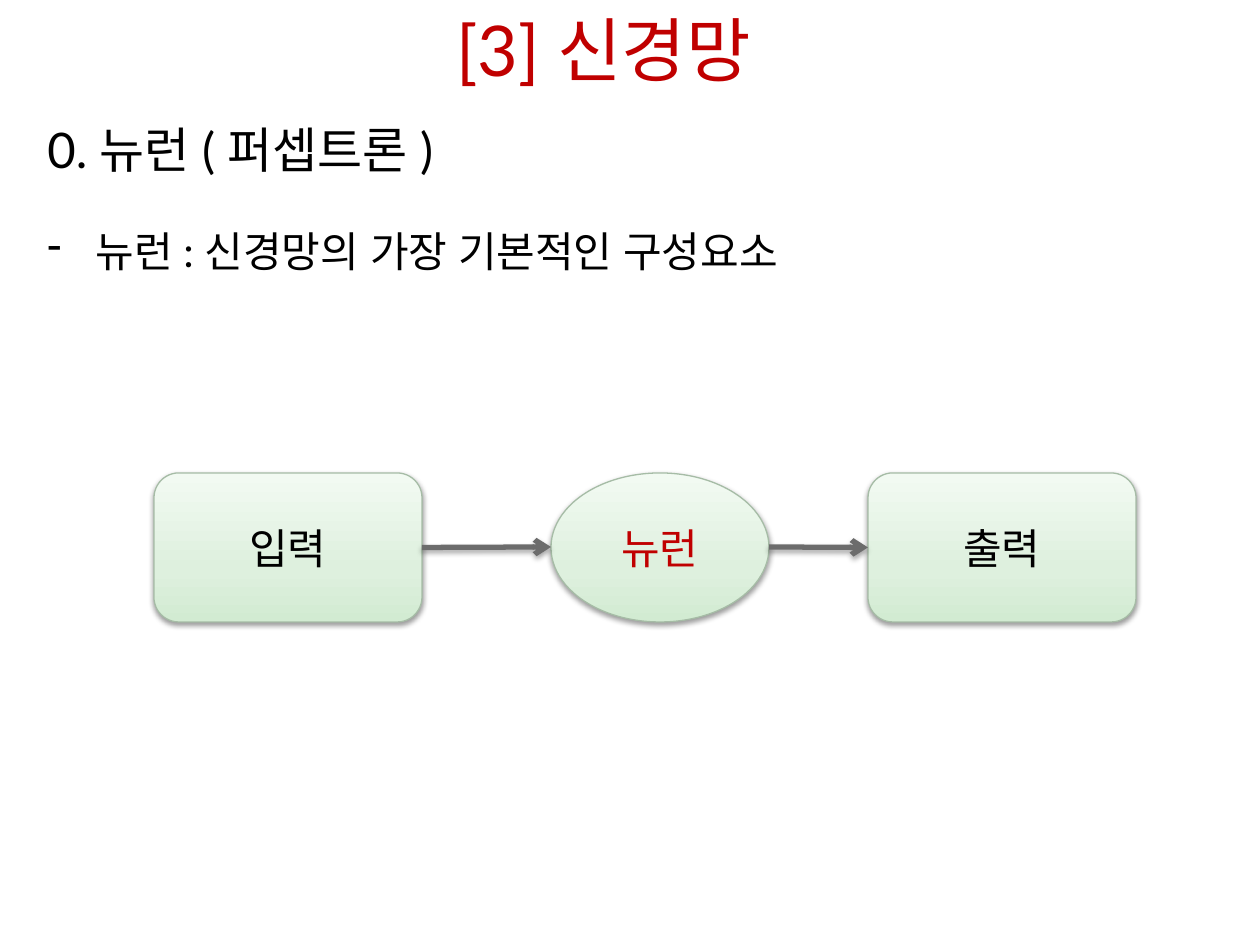
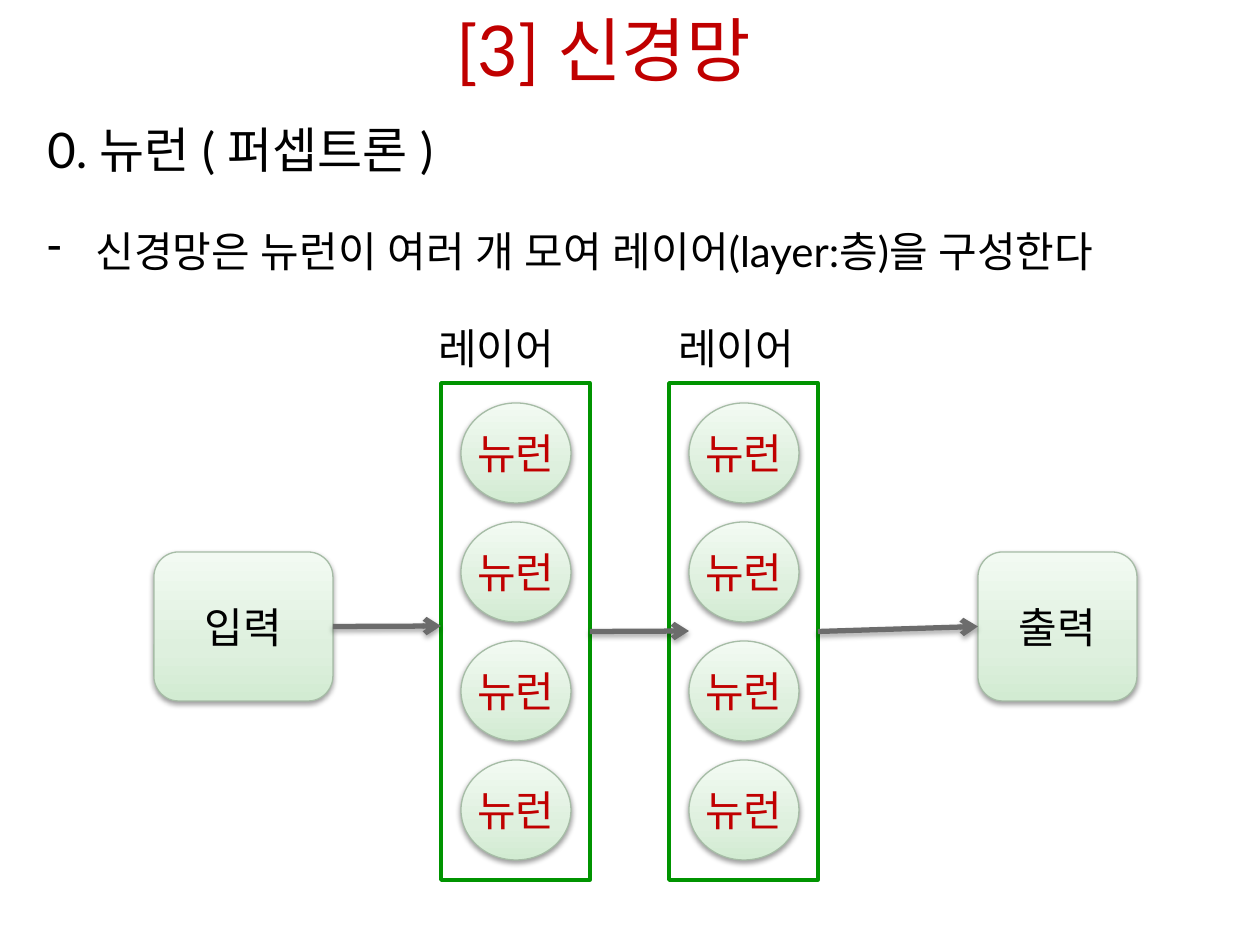
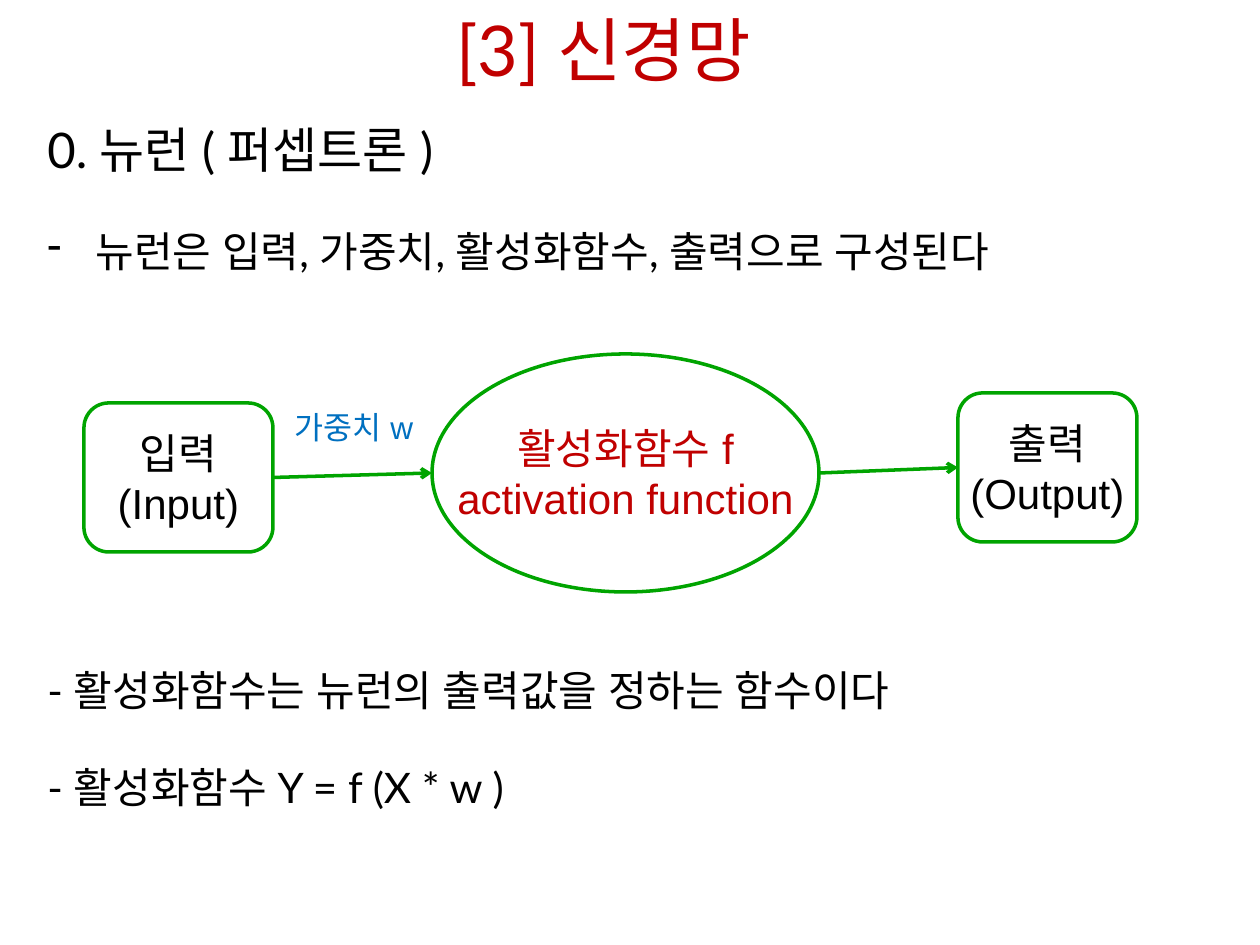
import dataclasses
import typing

import lxml.etree
import pptx
import pptx.dml.color
import pptx.enum.shapes
import pptx.enum.text
import pptx.oxml.ns
import pptx.util

EMU_PER_PX = 914400 / 126
SLIDE_WIDTH, SLIDE_HEIGHT = 1260, 945
BODY_INDENT = 48
BODY_SPACING = 0.8
BODY_GAP = 32.64
DIAGRAM_GAP = 227.52
HEADING_FONT, DIAGRAM_FONT = "Lato", "Arial"
BLACK, WHITE, RED, BLUE = "000000", "FFFFFF", "C00000", "0070C0"
LAYER_GREEN, NODE_GREEN = "009400", "00A400"
SOFT_LINE, ARROW_GREY = "A6BCA6", "6C6C6C"
SOFT_STOPS = ((0, "D2EBD2"), (35, "DEF0DE"), (100, "F2FAF2"))
ROUNDED = pptx.enum.shapes.MSO_SHAPE.ROUNDED_RECTANGLE
RECTANGLE = pptx.enum.shapes.MSO_SHAPE.RECTANGLE
OVAL = pptx.enum.shapes.MSO_SHAPE.OVAL
CENTER = pptx.enum.text.PP_ALIGN.CENTER
MIDDLE = pptx.enum.text.MSO_ANCHOR.MIDDLE
LEFT_SIDE, RIGHT_SIDE = 1, 3


class Point(typing.NamedTuple):
    x: int
    y: int


@dataclasses.dataclass(frozen=True)
class Node:
    left: int
    top: int
    width: int
    height: int
    kind: typing.Any = ROUNDED
    lines: tuple[str, ...] = ()
    colour: str = BLACK
    outline: str = ""


@dataclasses.dataclass(frozen=True)
class BodyLine:
    text: str
    size: int = 24
    space_before: float = BODY_GAP
    indented: bool = False
    bullet: bool = False


@dataclasses.dataclass(frozen=True)
class ArrowStyle:
    colour: str
    width: int
    shadowed: bool


GREY_ARROW = ArrowStyle(ARROW_GREY, 3, True)
GREEN_ARROW = ArrowStyle(NODE_GREEN, 2, False)


def px(value: int) -> int:
    return round(value * EMU_PER_PX)


def rgb(colour: str) -> pptx.dml.color.RGBColor:
    return pptx.dml.color.RGBColor.from_string(colour)


def add_xml(parent, tag: str, **attributes):
    return lxml.etree.SubElement(parent, pptx.oxml.ns.qn(tag), attributes)


def add_run(paragraph, text: str, size: int, font: str, colour: str) -> None:
    run = paragraph.add_run()
    run.text = text
    run.font.size = pptx.util.Pt(size)
    run.font.name = font
    run.font.color.rgb = rgb(colour)
    add_xml(run._r.get_or_add_rPr(), "a:ea", typeface=font)


def add_text_box(slide, left: int, top: int, width: int, height: int, wrap: bool = True):
    shape = slide.shapes.add_textbox(px(left), px(top), px(width), px(height))
    shape.text_frame.word_wrap = wrap
    return shape.text_frame


def add_shadow(effects, alpha: int, distance: float) -> None:
    shadow = add_xml(effects, "a:outerShdw", blurRad=str(pptx.util.Pt(3.1)),
                     dist=str(pptx.util.Pt(distance)), dir="5400000", rotWithShape="0")
    colour = add_xml(shadow, "a:srgbClr", val=BLACK)
    add_xml(colour, "a:alpha", val=str(alpha * 1000))


def fill_softly(shape) -> None:
    shape.fill.gradient()
    shape.fill.gradient_angle = 90
    stops = shape.element.spPr.find(".//" + pptx.oxml.ns.qn("a:gsLst"))
    for stop in list(stops):
        stops.remove(stop)
    for position, colour in SOFT_STOPS:
        stop = add_xml(stops, "a:gs", pos=str(position * 1000))
        add_xml(stop, "a:srgbClr", val=colour)


def add_node(slide, node: Node):
    shape = slide.shapes.add_shape(node.kind, px(node.left), px(node.top),
                                   px(node.width), px(node.height))
    shape.shadow.inherit = False
    if node.outline:
        shape.fill.solid()
        shape.fill.fore_color.rgb = rgb(WHITE)
    else:
        fill_softly(shape)
        add_shadow(shape.element.spPr.find(pptx.oxml.ns.qn("a:effectLst")), 38, 1.6)
    shape.line.color.rgb = rgb(node.outline or SOFT_LINE)
    shape.line.width = pptx.util.Pt(2 if node.outline else 0.75)
    frame = shape.text_frame
    frame.word_wrap = False
    frame.vertical_anchor = MIDDLE
    for index, line in enumerate(node.lines):
        paragraph = frame.add_paragraph() if index else frame.paragraphs[0]
        paragraph.alignment = CENTER
        add_run(paragraph, line, 24, DIAGRAM_FONT, node.colour)
    return shape


def add_arrow(slide, start, end, style: ArrowStyle) -> None:
    points = [end_point if isinstance(end_point, Point) else Point(0, 0)
              for end_point in (start, end)]
    connector = slide.shapes.add_connector(
        pptx.enum.shapes.MSO_CONNECTOR.STRAIGHT,
        *(px(value) for point in points for value in point))
    if not isinstance(start, Point):
        connector.begin_connect(start, RIGHT_SIDE)
    if not isinstance(end, Point):
        connector.end_connect(end, LEFT_SIDE)
    connector.line.color.rgb = rgb(style.colour)
    connector.line.width = pptx.util.Pt(style.width)
    properties = connector.element.spPr
    add_xml(properties.find(pptx.oxml.ns.qn("a:ln")), "a:tailEnd", type="arrow")
    effects = add_xml(properties, "a:effectLst")
    if style.shadowed:
        add_shadow(effects, 35, 1.8)


def add_body(slide, lines: list[BodyLine]) -> None:
    frame = add_text_box(slide, 35, 125, 1191, 745)
    for index, line in enumerate(lines):
        paragraph = frame.add_paragraph() if index else frame.paragraphs[0]
        paragraph.line_spacing = BODY_SPACING
        paragraph.space_before = pptx.util.Pt(line.space_before)
        properties = paragraph._p.get_or_add_pPr()
        if line.indented:
            properties.set("marL", str(px(BODY_INDENT)))
            properties.set("indent", str(-px(BODY_INDENT)))
        if line.bullet:
            add_xml(properties, "a:buChar", char="-")
        add_run(paragraph, line.text, line.size, HEADING_FONT, BLACK)


def add_content_slide(presentation, statement: str, *more: BodyLine):
    slide = presentation.slides.add_slide(presentation.slide_layouts[6])
    title = add_text_box(slide, 136, 0, 935, 98)
    title.vertical_anchor = MIDDLE
    title.paragraphs[0].alignment = CENTER
    add_run(title.paragraphs[0], "[3] 신경망", 40, HEADING_FONT, RED)
    add_body(slide, [
        BodyLine("0. 뉴런 ( 퍼셉트론 )", size=28, space_before=0, indented=True),
        BodyLine(statement, indented=True, bullet=True),
        *more,
    ])
    return slide


def build_neuron_slide(presentation) -> None:
    slide = add_content_slide(presentation, "뉴런 : 신경망의 가장 기본적인 구성요소")
    source = add_node(slide, Node(154, 473, 268, 149, lines=("입력",)))
    result = add_node(slide, Node(868, 473, 268, 149, lines=("출력",)))
    add_node(slide, Node(551, 473, 218, 149, OVAL, ("뉴런",), RED))
    add_arrow(slide, source, Point(551, 547), GREY_ARROW)
    add_arrow(slide, Point(769, 547), result, GREY_ARROW)


def add_layer(slide, left: int, label_left: int):
    label = add_text_box(slide, label_left, 332, 130, 40, wrap=False)
    label.margin_left = label.margin_top = label.margin_right = label.margin_bottom = 0
    label.paragraphs[0].line_spacing = BODY_SPACING
    add_run(label.paragraphs[0], "레이어", 24, HEADING_FONT, BLACK)
    frame = add_node(slide, Node(left, 383, 149, 497, RECTANGLE, outline=LAYER_GREEN))
    for row in range(4):
        add_node(slide, Node(left + 20, 403 + 119 * row, 110, 100, OVAL, ("뉴런",), RED))
    return frame


def build_layer_slide(presentation) -> None:
    slide = add_content_slide(
        presentation, "신경망은 뉴런이 여러 개 모여 레이어(layer:층)을 구성한다")
    source = add_node(slide, Node(154, 552, 179, 149, lines=("입력",)))
    result = add_node(slide, Node(978, 552, 159, 149, lines=("출력",)))
    first_layer = add_layer(slide, 441, 438)
    second_layer = add_layer(slide, 669, 678)
    add_arrow(slide, source, Point(441, 626), GREY_ARROW)
    add_arrow(slide, first_layer, Point(689, 631), GREY_ARROW)
    add_arrow(slide, second_layer, result, GREY_ARROW)


def build_activation_slide(presentation) -> None:
    slide = add_content_slide(
        presentation, "뉴런은 입력, 가중치, 활성화함수, 출력으로 구성된다",
        BodyLine("- 활성화함수는 뉴런의 출력값을 정하는 함수이다", space_before=DIAGRAM_GAP),
        BodyLine("- 활성화함수 Y = f (X * w )"))
    source = add_node(slide, Node(84, 403, 189, 149, lines=("입력", "(Input)"),
                                  outline=NODE_GREEN))
    result = add_node(slide, Node(958, 393, 179, 149, lines=("출력", "(Output)"),
                                  outline=NODE_GREEN))
    add_node(slide, Node(432, 354, 387, 238, OVAL,
                         ("활성화함수 f", "activation function"), RED, NODE_GREEN))
    add_arrow(slide, source, Point(432, 473), GREEN_ARROW)
    add_arrow(slide, Point(819, 473), result, GREEN_ARROW)
    weight = add_text_box(slide, 278, 402, 152, 50, wrap=False)
    weight.paragraphs[0].alignment = CENTER
    add_run(weight.paragraphs[0], "가중치 w", 18, DIAGRAM_FONT, BLUE)


def main() -> None:
    presentation = pptx.Presentation()
    presentation.slide_width = px(SLIDE_WIDTH)
    presentation.slide_height = px(SLIDE_HEIGHT)
    build_neuron_slide(presentation)
    build_layer_slide(presentation)
    build_activation_slide(presentation)
    presentation.save("out.pptx")


if __name__ == "__main__":
    main()
